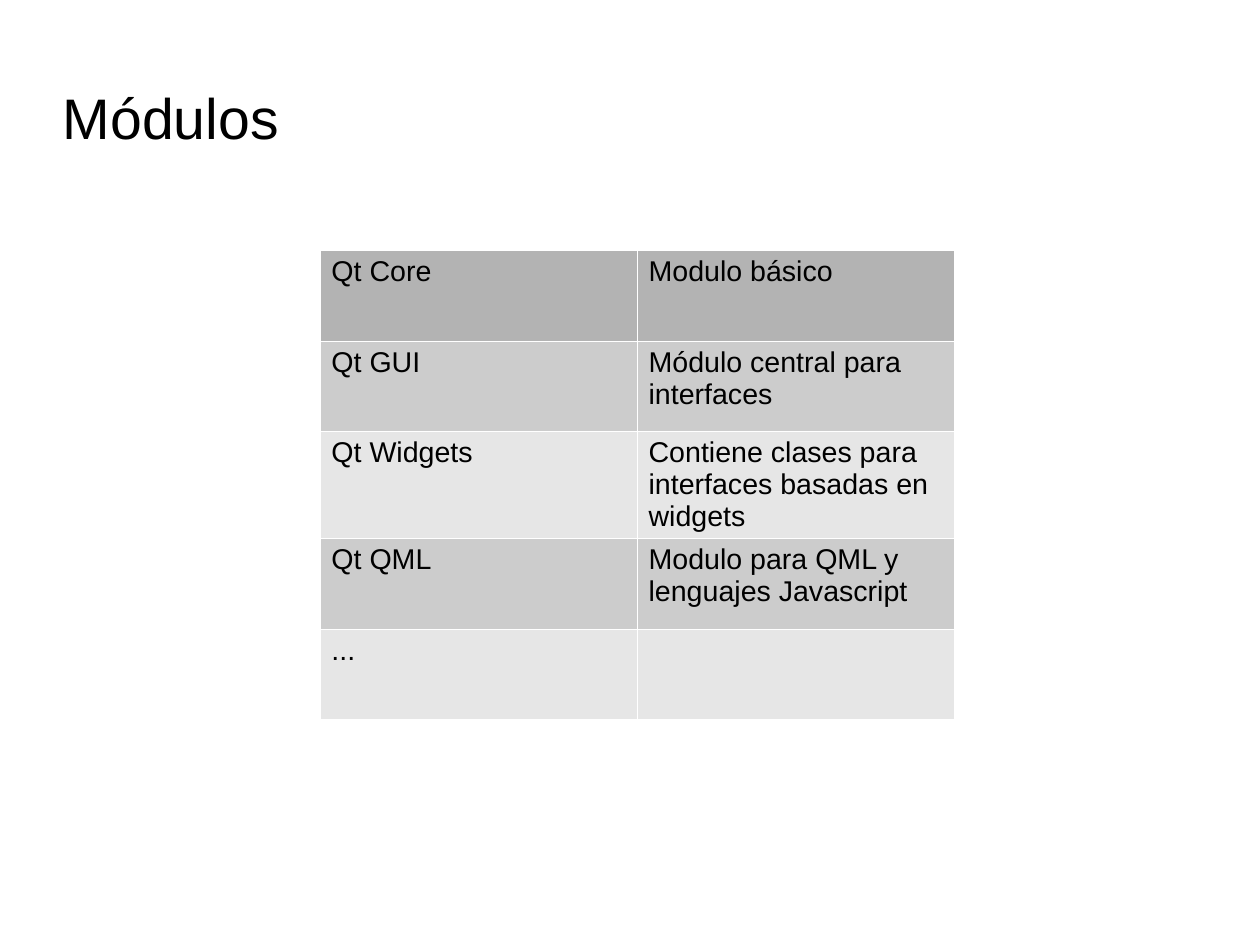
from lxml import etree
from pptx import Presentation
from pptx import util as u
from pptx.dml.color import RGBColor
from pptx.enum import text
from pptx.oxml import ns

BLACK = RGBColor(0x00, 0x00, 0x00)
WHITE = RGBColor(0xFF, 0xFF, 0xFF)
HEADER_GRAY = RGBColor(0xB3, 0xB3, 0xB3)
DARK_BAND = RGBColor(0xCC, 0xCC, 0xCC)
LIGHT_BAND = RGBColor(0xE6, 0xE6, 0xE6)

MODULES = [
    ("Qt Core", "Modulo básico"),
    ("Qt GUI", "Módulo central para interfaces"),
    ("Qt Widgets", "Contiene clases para interfaces basadas en widgets"),
    ("Qt QML", "Modulo para QML y lenguajes Javascript"),
    ("...", ""),
]


def write(frame, content, size=18, font="Arial", color=BLACK):
    para = frame.paragraphs[0]
    para.alignment = text.PP_ALIGN.LEFT
    para.font.size = u.Pt(size)
    if content:
        span = para.add_run()
        span.text = content
        span.font.size = u.Pt(size)
        span.font.name = font
        span.font.color.rgb = color


def add_borders(cell, color, width):
    properties = cell._tc.get_or_add_tcPr()
    for index, side in enumerate(("lnL", "lnR", "lnT", "lnB")):
        line = etree.Element(ns.qn(f"a:{side}"), w=str(u.Pt(width)))
        fill = etree.SubElement(line, ns.qn("a:solidFill"))
        etree.SubElement(fill, ns.qn("a:srgbClr"), val=str(color))
        properties.insert(index, line)


class ModulePage:
    def __init__(self, deck):
        self.page = deck.slides.add_slide(deck.slide_layouts[5])
        self.border_color = WHITE
        self.border_width = 0.06

    def title(self, content, left, top, width, height):
        box = self.page.shapes.title
        box.left, box.top = u.Inches(left), u.Inches(top)
        box.width, box.height = u.Inches(width), u.Inches(height)
        frame = box.text_frame
        frame.margin_left = frame.margin_right = 0
        frame.margin_top = frame.margin_bottom = 0
        frame.vertical_anchor = text.MSO_ANCHOR.MIDDLE
        frame.word_wrap = True
        write(frame, content, size=36)

    def table(self, rows, left, top, width, height, row_height):
        holder = self.page.shapes.add_table(
            len(rows), len(rows[0]), u.Inches(left), u.Inches(top),
            u.Inches(width), u.Inches(row_height * len(rows)),
        )
        holder.height = u.Inches(height)
        for row_index, row in enumerate(rows):
            band = DARK_BAND if row_index % 2 else LIGHT_BAND
            for column_index, content in enumerate(row):
                cell = holder.table.cell(row_index, column_index)
                cell.fill.solid()
                cell.fill.fore_color.rgb = band if row_index else HEADER_GRAY
                add_borders(cell, self.border_color, self.border_width)
                write(cell.text_frame, content)


def main():
    deck = Presentation()
    deck.slide_width = u.Cm(28)
    deck.slide_height = u.Cm(21)
    page = ModulePage(deck)
    page.title("Módulos", 0.55, 0.63, 7.87, 0.79)
    page.table(MODULES, 2.8, 2.19, 5.55, 4.09, row_height=0.79)
    deck.save("out.pptx")


if __name__ == "__main__":
    main()
